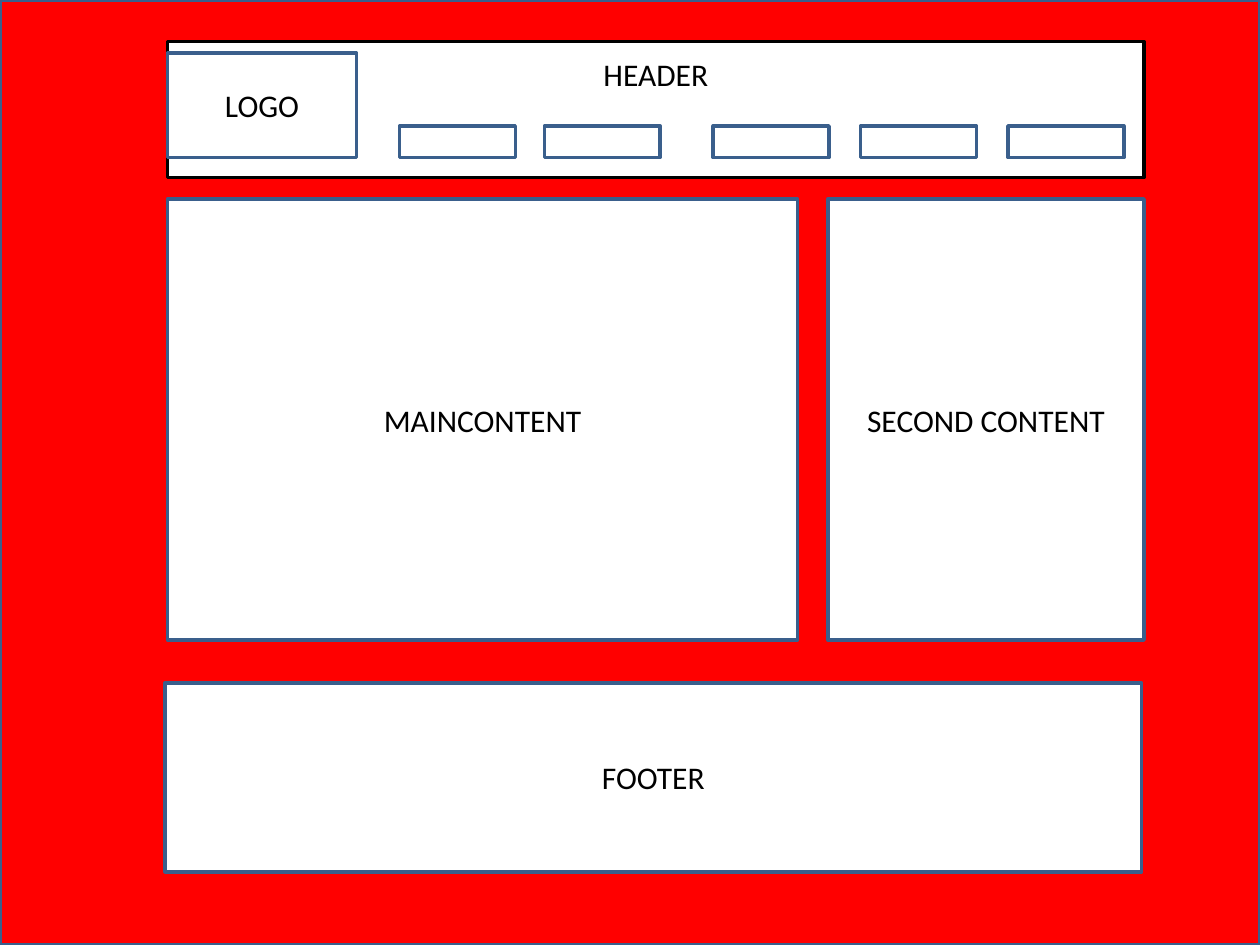
from dataclasses import dataclass

from pptx import Presentation
from pptx import util as u
from pptx.dml.color import RGBColor
from pptx.enum import shapes, text


@dataclass(frozen=True)
class Theme:
    page: RGBColor = RGBColor(0xFF, 0x00, 0x00)
    panel: RGBColor = RGBColor(0xFF, 0xFF, 0xFF)
    outline: RGBColor = RGBColor(0x3A, 0x5F, 0x8C)
    ink: RGBColor = RGBColor(0x00, 0x00, 0x00)
    font: str = "Calibri"
    size: u.Pt = u.Pt(18)
    line: u.Pt = u.Pt(2)


THEME = Theme()


@dataclass(frozen=True)
class Box:
    left: float
    top: float
    width: float
    height: float
    label: str = ""
    fill: RGBColor = THEME.panel
    outline: RGBColor = THEME.outline
    anchor: text.MSO_ANCHOR = text.MSO_ANCHOR.MIDDLE


def draw_box(s, box: Box) -> None:
    """Draw one wireframe area with an optional centred label."""
    sp = s.shapes.add_shape(
        shapes.MSO_SHAPE.RECTANGLE,
        u.Inches(box.left), u.Inches(box.top),
        u.Inches(box.width), u.Inches(box.height),
    )
    sp.shadow.inherit = False
    sp.fill.solid()
    sp.fill.fore_color.rgb = box.fill
    sp.line.color.rgb = box.outline
    sp.line.width = THEME.line
    if not box.label:
        return
    tf = sp.text_frame
    tf.word_wrap = True
    tf.vertical_anchor = box.anchor
    tf.margin_top = tf.margin_bottom = u.Inches(0.11)
    tf.text = box.label
    p = tf.paragraphs[0]
    p.alignment = text.PP_ALIGN.CENTER
    r = p.runs[0]
    r.font.name = THEME.font
    r.font.size = THEME.size
    r.font.color.rgb = THEME.ink


# Page geometry in inches
PAGE_W, PAGE_H = 10, 7.5
LEFT, FULL_W = 1.33, 7.75
BODY_TOP, BODY_H = 1.58, 3.5
SIDE_W = 2.51
MENU_LEFTS = (3.17, 4.32, 5.66, 6.83, 8)

BACKGROUND = Box(0, 0, PAGE_W, PAGE_H, fill=THEME.page)
HEADER = [
    Box(LEFT, 0.33, FULL_W, 1.08, "HEADER", outline=THEME.ink,
        anchor=text.MSO_ANCHOR.TOP),
    Box(LEFT, 0.42, 1.5, 0.83, "LOGO"),
]
MENU = [Box(left, 1, 0.92, 0.25) for left in MENU_LEFTS]
BODY = [
    Box(LEFT, BODY_TOP, 5, BODY_H, "MAINCONTENT"),
    Box(LEFT + FULL_W - SIDE_W, BODY_TOP, SIDE_W, BODY_H, "SECOND CONTENT"),
]
FOOTER = Box(1.31, 5.42, FULL_W, 1.5, "FOOTER")


def main() -> None:
    prs = Presentation()
    prs.slide_width, prs.slide_height = u.Inches(PAGE_W), u.Inches(PAGE_H)
    s = prs.slides.add_slide(prs.slide_layouts[6])

    # Areas from back to front
    for box in [BACKGROUND, *HEADER, *MENU, *BODY, FOOTER]:
        draw_box(s, box)

    prs.save("out.pptx")


if __name__ == "__main__":
    main()
